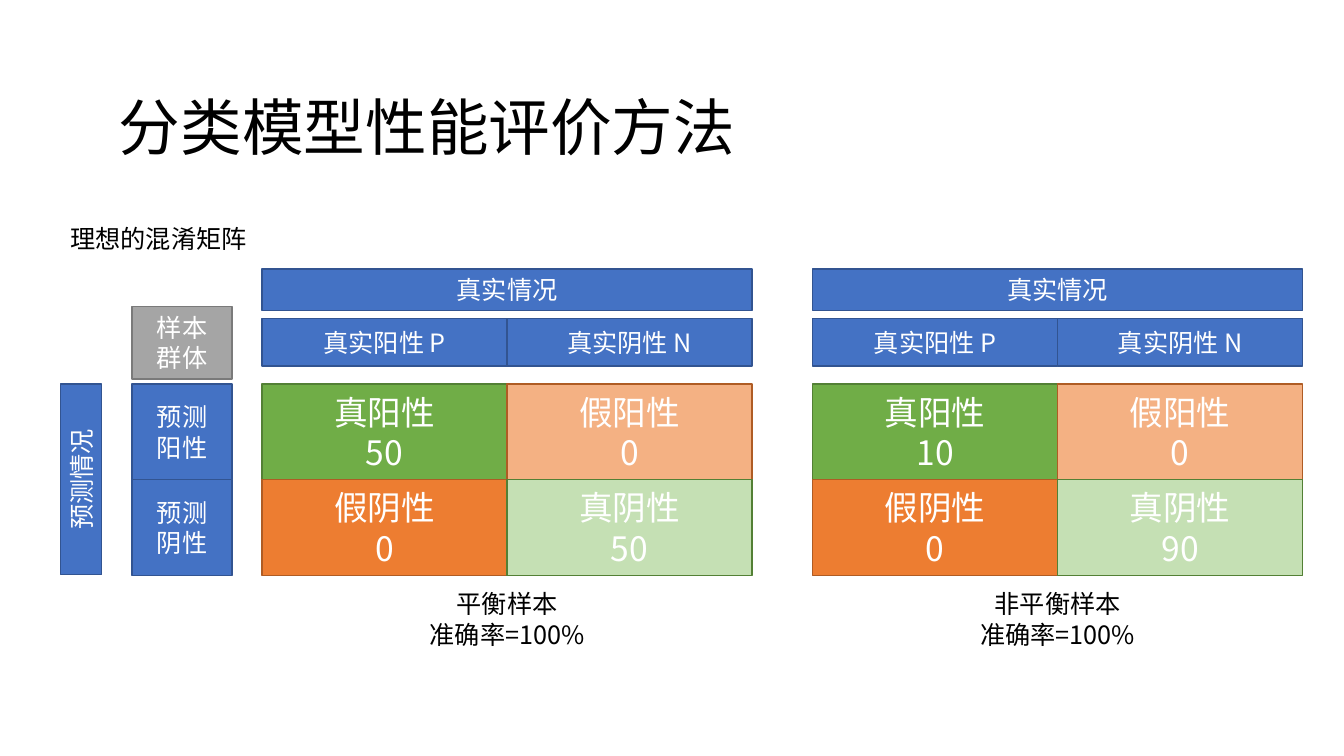
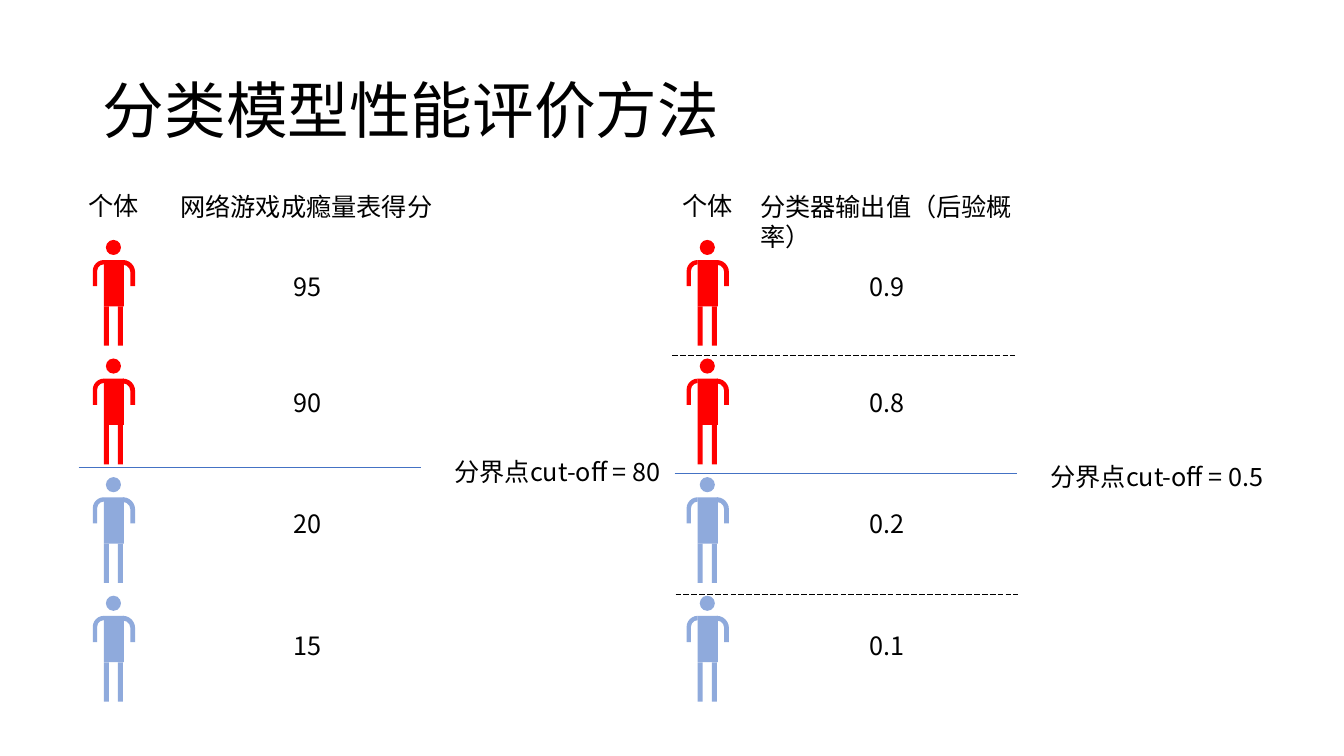
from lxml.etree import SubElement
from pptx import Presentation
from pptx.dml.color import RGBColor
from pptx.enum.dml import MSO_LINE
from pptx.enum.shapes import MSO_CONNECTOR, MSO_SHAPE
from pptx.enum.text import MSO_ANCHOR, MSO_AUTO_SIZE, PP_ALIGN
from pptx.oxml.ns import qn
from pptx.util import Inches, Pt

FONT = "Noto Sans CJK SC"
TITLE = "分类模型性能评价方法"
COLORS = {
    "text": "000000", "white": "FFFFFF",
    "blue": "4472C4", "blue_edge": "325491",
    "gray": "A5A5A5", "gray_edge": "7A7A7A",
    "green": "70AD47", "light_green": "C5E0B4", "green_edge": "538035",
    "orange": "ED7D31", "light_orange": "F4B183", "orange_edge": "AF5C24",
    "positive": "FF0000", "negative": "8FAADC",
}

MATRIX_CAPTION = "理想的混淆矩阵"
ACTUAL, PREDICTED, POPULATION = "真实情况", "预测情况", "样本\n群体"
ACTUAL_CLASSES = ["真实阳性 P", "真实阴性 N"]
PREDICTED_CLASSES = ["预测\n阳性", "预测\n阴性"]
OUTCOMES = [
    ("真阳性", 0, 0, "green", "green_edge"),
    ("假阴性", 1, 0, "orange", "orange_edge"),
    ("假阳性", 0, 1, "light_orange", "orange_edge"),
    ("真阴性", 1, 1, "light_green", "green_edge"),
]
MATRICES = [
    (2.6, [50, 0, 0, 50], "平衡样本\n准确率=100%"),
    (8.06, [10, 0, 0, 90], "非平衡样本\n准确率=100%"),
]
CELL_W, CELL_H, CELL_TOP = 2.43, 0.95, 3.81

INDIVIDUAL = "个体"
INDIVIDUAL_CLASSES = ["positive", "positive", "negative", "negative"]
SCALES = [
    dict(left=0.78, score_left=1.69, heading="网络游戏成瘾量表得分",
         heading_w=2.72, scores=["95", "90", "20", "15"],
         cutoff="分界点cut-off = 80", cutoff_at=(4.41, 4.48, 2.39),
         rules=[(0.78, 4.64, "blue", False)]),
    dict(left=6.67, score_left=7.44, heading="分类器输出值（后验概率）",
         heading_w=3.07, scores=["0.9", "0.8", "0.2", "0.1"],
         cutoff="分界点cut-off = 0.5", cutoff_at=(10.32, 4.53, 2.46),
         rules=[(6.69, 4.7, "blue", False), (6.67, 3.53, "text", True),
                (6.7, 5.9, "text", True)]),
]
SCORE_TOPS = [2.64, 3.79, 4.99, 6.2]
PERSON_TOP, PERSON_PITCH = 2.38, (5.91 - 2.38) / 3
RULE_W = 3.4
BODY_PARTS = [
    (MSO_SHAPE.OVAL, 0.13, 0, 0.15, 0.15, False),
    (MSO_SHAPE.BENT_ARROW, 0, 0.2, 0.11, 0.26, False),
    (MSO_SHAPE.RECTANGLE, 0.11, 0.2, 0.2, 0.46, False),
    (MSO_SHAPE.BENT_ARROW, 0.3, 0.2, 0.12, 0.26, True),
    (MSO_SHAPE.RECTANGLE, 0.11, 0.66, 0.05, 0.39, False),
    (MSO_SHAPE.RECTANGLE, 0.25, 0.66, 0.05, 0.39, False),
]
ARM_ADJUSTMENTS = [0.391, 0.195, 0, 1]


def rgb(name):
    return RGBColor.from_string(COLORS[name])


def box(*lengths):
    return [Inches(length) for length in lengths]


def write(frame, text, size=18, color="text", align=PP_ALIGN.LEFT,
          anchor=MSO_ANCHOR.TOP, wrap=True, grow=False, spacing=None):
    frame.word_wrap = wrap
    frame.vertical_anchor = anchor
    frame.auto_size = MSO_AUTO_SIZE.SHAPE_TO_FIT_TEXT if grow else MSO_AUTO_SIZE.NONE
    for index, line in enumerate(text.split("\n")):
        paragraph = frame.add_paragraph() if index else frame.paragraphs[0]
        paragraph.alignment = align
        paragraph.line_spacing = spacing
        run = paragraph.add_run()
        run.text = line
        run.font.size = Pt(size)
        run.font.name = FONT
        run.font.color.rgb = rgb(color)
        SubElement(run.font._element, qn("a:ea")).set("typeface", FONT)


def add_label(slide, text, left, top, width, height=0.4, **text_format):
    label = slide.shapes.add_textbox(*box(left, top, width, height))
    write(label.text_frame, text, grow=True, **text_format)


def add_block(slide, text, left, top, width, height, fill="blue",
              edge="blue_edge", size=18, rotation=0):
    block = slide.shapes.add_shape(MSO_SHAPE.RECTANGLE, *box(left, top, width, height))
    block.shadow.inherit = False
    block.fill.solid()
    block.fill.fore_color.rgb = rgb(fill)
    block.line.color.rgb = rgb(edge)
    block.line.width = Pt(1)
    block.rotation = rotation
    write(block.text_frame, text, size=size, color="white",
          align=PP_ALIGN.CENTER, anchor=MSO_ANCHOR.MIDDLE)


def add_person(slide, left, top, color):
    person = slide.shapes.add_group_shape()
    for kind, dx, dy, width, height, mirrored in BODY_PARTS:
        part = person.shapes.add_shape(kind, *box(left + dx, top + dy, width, height))
        part.shadow.inherit = False
        part.fill.solid()
        part.fill.fore_color.rgb = rgb(color)
        part.line.fill.background()
        if kind == MSO_SHAPE.BENT_ARROW:
            for index, value in enumerate(ARM_ADJUSTMENTS):
                part.adjustments[index] = value
        if mirrored:
            part._element.spPr.find(qn("a:xfrm")).set("flipH", "1")


def add_rule(slide, left, top, color, dashed):
    rule = slide.shapes.add_connector(
        MSO_CONNECTOR.STRAIGHT, *box(left, top, left + RULE_W, top))
    rule.line.color.rgb = rgb(color)
    rule.line.width = Pt(0.5)
    if dashed:
        rule.line.dash_style = MSO_LINE.LONG_DASH
    SubElement(rule._element.spPr, qn("a:effectLst"))


def add_titled_slide(deck, left, top):
    slide = deck.slides.add_slide(deck.slide_layouts[5])
    title = slide.shapes.title
    title.left, title.top, title.width, title.height = box(left, top, 11.5, 1.45)
    write(title.text_frame, TITLE, size=44, anchor=MSO_ANCHOR.MIDDLE, spacing=0.9)
    return slide


def build_matrices(deck):
    slide = add_titled_slide(deck, 1.08, 0.57)
    add_label(slide, MATRIX_CAPTION, 0.6, 2.17, 7.46)
    add_block(slide, PREDICTED, -0.14, 4.55, 1.89, 0.41, rotation=270)
    add_block(slide, POPULATION, 1.31, 3.04, 0.99, 0.72, "gray", "gray_edge")
    for row, name in enumerate(PREDICTED_CLASSES):
        add_block(slide, name, 1.31, CELL_TOP + row * CELL_H, 0.99, CELL_H)
    for left, counts, caption in MATRICES:
        add_block(slide, ACTUAL, left, 2.67, 2 * CELL_W, 0.41)
        for column, name in enumerate(ACTUAL_CLASSES):
            add_block(slide, name, left + column * CELL_W, 3.16, CELL_W, 0.47)
        for (name, row, column, fill, edge), count in zip(OUTCOMES, counts):
            add_block(slide, f"{name}\n{count}", left + column * CELL_W,
                      CELL_TOP + row * CELL_H, CELL_W, CELL_H, fill, edge, size=24)
        add_label(slide, caption, left + 0.73, 5.79, 3.4, 0.71, align=PP_ALIGN.CENTER)


def build_cutoffs(deck):
    slide = add_titled_slide(deck, 0.92, 0.4)
    for scale in SCALES:
        add_label(slide, INDIVIDUAL, scale["left"], 1.84, 0.78)
        add_label(slide, scale["heading"], scale["score_left"], 1.85, scale["heading_w"])
        for index, color in enumerate(INDIVIDUAL_CLASSES):
            add_person(slide, scale["left"] + 0.14,
                       PERSON_TOP + index * PERSON_PITCH, color)
        for score, top in zip(scale["scores"], SCORE_TOPS):
            add_label(slide, score, scale["score_left"], top, 2.72, align=PP_ALIGN.CENTER)
        add_label(slide, scale["cutoff"], *scale["cutoff_at"], wrap=False)
        for rule in scale["rules"]:
            add_rule(slide, *rule)


def main():
    deck = Presentation()
    deck.slide_width, deck.slide_height = box(13.33, 7.5)
    build_matrices(deck)
    build_cutoffs(deck)
    deck.save("out.pptx")


if __name__ == "__main__":
    main()
